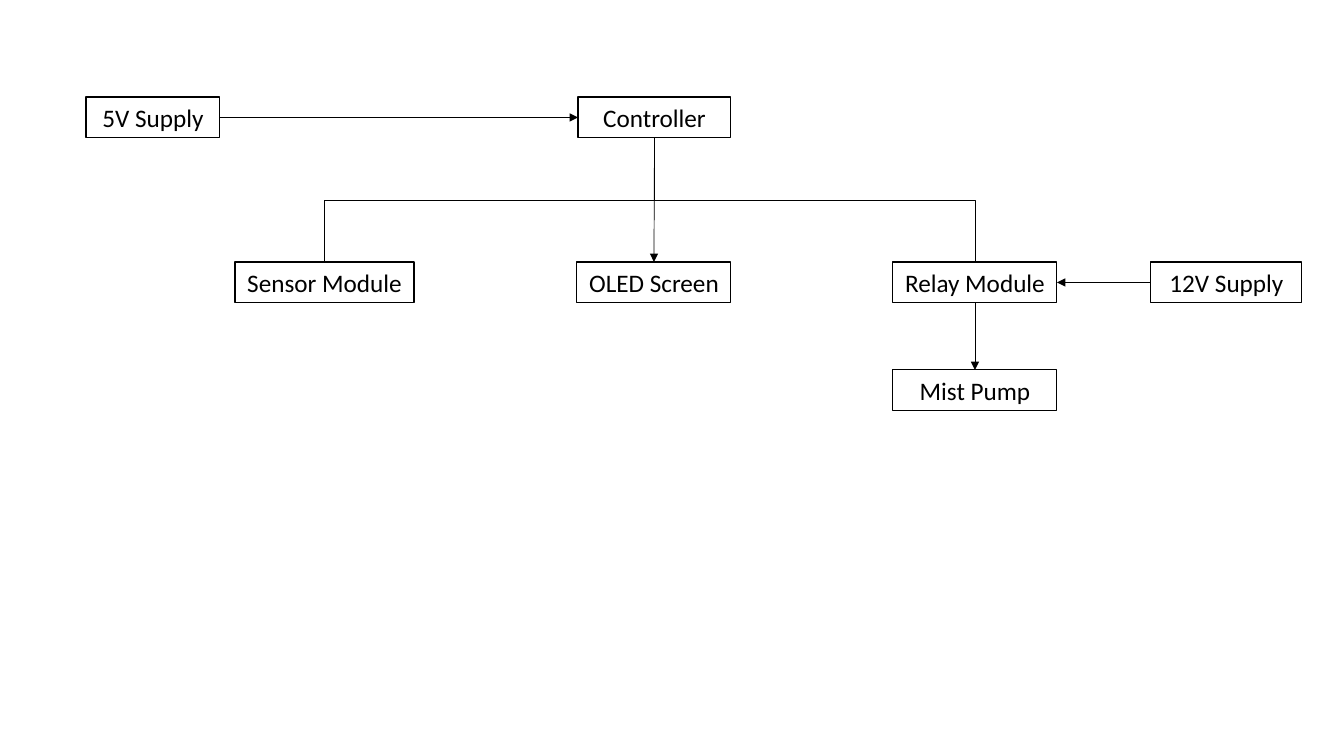
import lxml.etree
import pptx
import pptx.dml.color
import pptx.enum.shapes
import pptx.enum.text
import pptx.oxml.ns
import pptx.util

PX = 12192000 / 1344
TOP, LEFT, BOTTOM, RIGHT = range(4)


def px(n):
    return pptx.util.Emu(round(n * PX))


def rgb(value):
    return pptx.dml.color.RGBColor.from_string(value)


def write(tf, text, font="Calibri", size=18, color="000000"):
    p = tf.paragraphs[0]
    p.alignment = pptx.enum.text.PP_ALIGN.CENTER
    r = p.add_run()
    r.text = text
    r.font.name = font
    r.font.size = pptx.util.Pt(size)
    r.font.color.rgb = rgb(color)


class Diagram:
    ink = "000000"
    box_height = 41
    box_line = 0.75
    link_line = 0.5

    def __init__(self, slide):
        self.s = slide

    def box(self, text, x, y, w):
        sp = self.s.shapes.add_shape(
            pptx.enum.shapes.MSO_SHAPE.RECTANGLE, px(x), px(y), px(w), px(self.box_height))
        sp.shadow.inherit = False
        sp.fill.background()
        sp.line.color.rgb = rgb(self.ink)
        sp.line.width = pptx.util.Pt(self.box_line)
        tf = sp.text_frame
        tf.word_wrap = False
        tf.auto_size = pptx.enum.text.MSO_AUTO_SIZE.SHAPE_TO_FIT_TEXT
        tf.vertical_anchor = pptx.enum.text.MSO_ANCHOR.MIDDLE
        write(tf, text, color=self.ink)
        return sp

    def link(self, kind, x1, y1, x2, y2):
        c = self.s.shapes.add_connector(kind, x1, y1, x2, y2)
        c.line.color.rgb = rgb(self.ink)
        c.line.width = pptx.util.Pt(self.link_line)
        lxml.etree.SubElement(c._element.spPr, pptx.oxml.ns.qn("a:effectLst"))
        return c

    def arrow(self, start, start_side, end, end_side):
        c = self.link(pptx.enum.shapes.MSO_CONNECTOR.STRAIGHT, 0, 0, 0, 0)
        c.begin_connect(start, start_side)
        c.end_connect(end, end_side)
        ln = c.line._get_or_add_ln()
        lxml.etree.SubElement(ln, pptx.oxml.ns.qn("a:tailEnd"), type="triangle")

    def branch(self, parent, child):
        x1, y1 = parent.left + parent.width // 2, parent.top + parent.height
        x2, y2 = child.left + child.width // 2, child.top
        cx, cy = (x1 + x2) // 2, (y1 + y2) // 2
        half_w, half_h = (y2 - y1) // 2, abs(x2 - x1) // 2
        to_right = x2 > x1
        turn = -1 if to_right else 1
        c = self.link(pptx.enum.shapes.MSO_CONNECTOR.ELBOW,
                      cx - turn * half_w, cy - half_h, cx + turn * half_w, cy + half_h)
        c._element.spPr.xfrm.set("rot", str((270 if to_right else 90) * 60000))


def main():
    prs = pptx.Presentation()
    prs.slide_width, prs.slide_height = px(1344), px(756)
    d = Diagram(prs.slides.add_slide(prs.slide_layouts[6]))

    supply_row, module_row, pump_row = 97, 262, 370
    controller = d.box("Controller", 578, supply_row, 153)
    relay = d.box("Relay Module", 893, module_row, 164)
    screen = d.box("OLED Screen", 577, module_row, 154)
    sensor = d.box("Sensor Module", 235, module_row, 179)
    pump = d.box("Mist Pump", 893, pump_row, 164)
    supply_5v = d.box("5V Supply", 86, supply_row, 134)
    supply_12v = d.box("12V Supply", 1151, module_row, 151)

    for module in (sensor, relay):
        d.branch(controller, module)
    d.arrow(controller, BOTTOM, screen, TOP)
    d.arrow(relay, BOTTOM, pump, TOP)
    d.arrow(supply_5v, RIGHT, controller, LEFT)
    d.arrow(supply_12v, LEFT, relay, RIGHT)

    prs.save("out.pptx")


if __name__ == "__main__":
    main()
